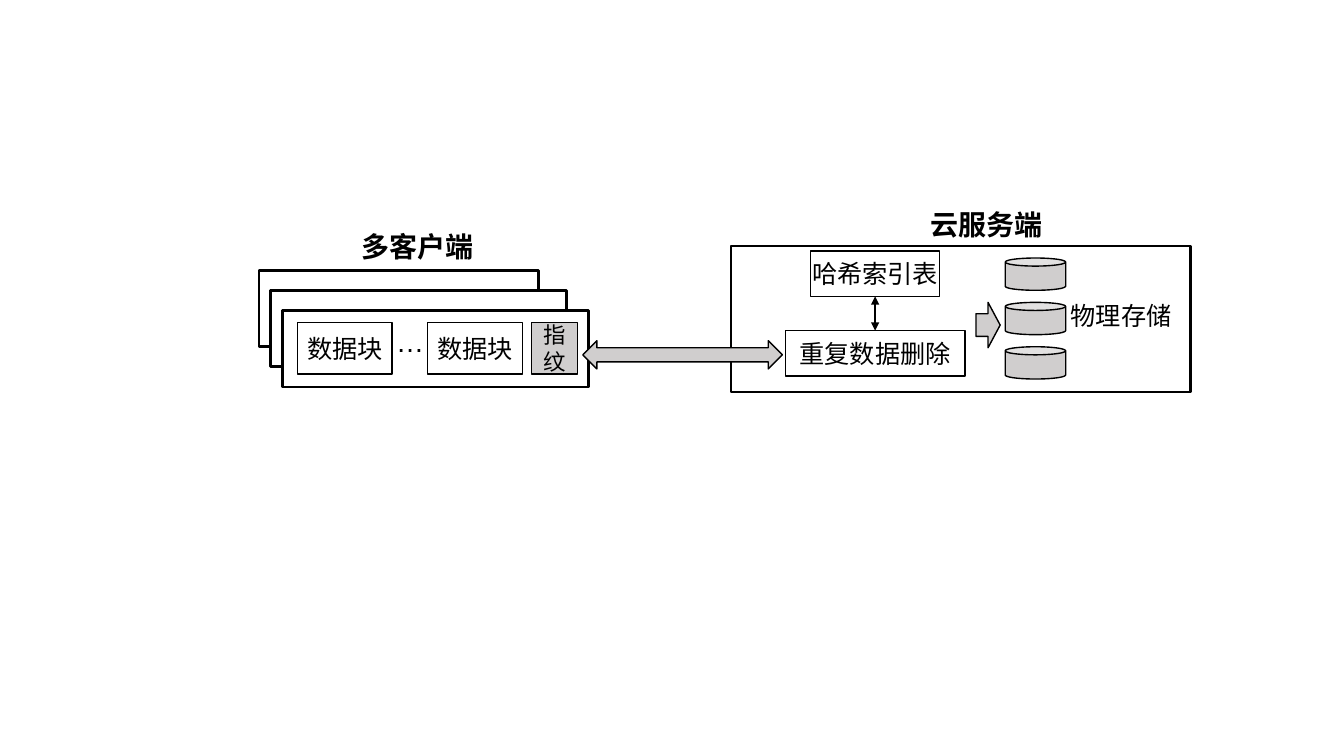
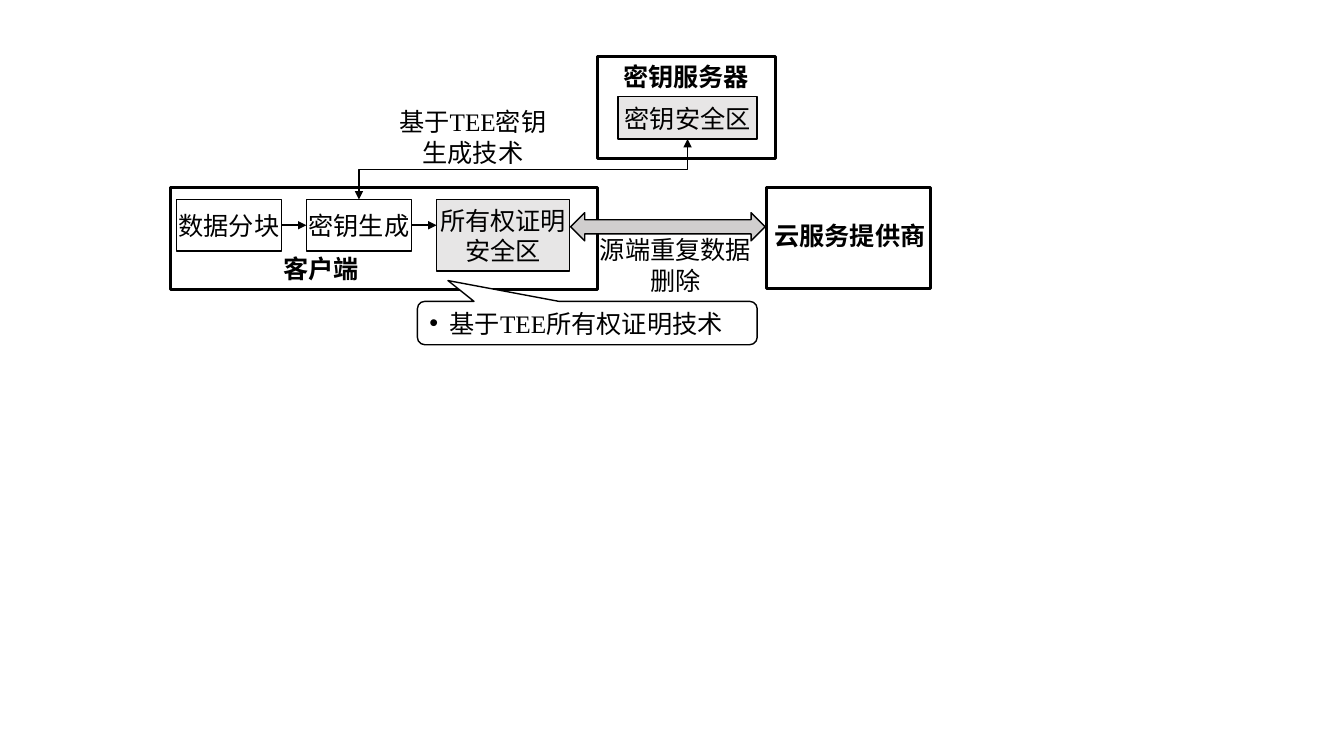
from lxml import etree
from pptx import Presentation
from pptx import util as u
from pptx.dml import color
from pptx.enum import shapes, text
from pptx.oxml import ns

COLORS = {"ink": "000000", "paper": "FFFFFF", "gray": "D0CECE", "pale": "E7E6E6"}
CHINESE_FONT = "Noto Sans CJK SC"
LATIN_FONT = "Times New Roman"
FRAME_LINE = 2
THIN_LINE = 1
ARROW_LINE = 1.5
SHAPE = shapes.MSO_SHAPE
CENTER = text.PP_ALIGN.CENTER
LEFT = text.PP_ALIGN.LEFT


def rgb(name):
    return color.RGBColor.from_string(COLORS[name])


def add_element(parent, tag, **attributes):
    return etree.SubElement(parent, ns.qn(tag), attributes)


def apply_format(target, values):
    for name, value in values.items():
        setattr(target, name, value)


def write(shape, words, align=CENTER, bullet=False, inset=0.1, wrap=True,
          anchor=text.MSO_ANCHOR.MIDDLE, size=18, bold=False, font=CHINESE_FONT):
    frame = shape.text_frame
    apply_format(frame, {
        "word_wrap": wrap, "vertical_anchor": anchor,
        "margin_left": u.Inches(inset), "margin_right": u.Inches(inset),
    })
    paragraph = frame.paragraphs[0]
    paragraph.alignment = align
    if bullet:
        properties = paragraph._p.get_or_add_pPr()
        properties.set("marL", str(u.Inches(0.2)))
        properties.set("indent", str(-u.Inches(0.2)))
        add_element(properties, "a:buFont", typeface="Arial")
        add_element(properties, "a:buChar", char="•")
    run = paragraph.add_run()
    run.text = words
    apply_format(run.font, {"name": font, "size": u.Pt(size), "bold": bold})
    run.font.color.rgb = rgb("ink")
    add_element(run._r.get_or_add_rPr(), "a:ea", typeface=CHINESE_FONT)


def add_shape(slide, kind, left, top, width, height, fill=None, line=THIN_LINE):
    shape = slide.shapes.add_shape(kind, *map(u.Inches, (left, top, width, height)))
    shape.shadow.inherit = False
    if fill:
        shape.fill.solid()
        shape.fill.fore_color.rgb = rgb(fill)
    else:
        shape.fill.background()
    shape.line.color.rgb = rgb("ink")
    shape.line.width = u.Pt(line)
    return shape


def add_frame(slide, left, top, width, height, fill=None):
    return add_shape(slide, SHAPE.RECTANGLE, left, top, width, height, fill, FRAME_LINE)


def add_box(slide, words, left, top, width, height, fill=None, size=18, inset=0):
    box = add_shape(slide, SHAPE.RECTANGLE, left, top, width, height, fill)
    write(box, words, size=size, inset=inset)
    return box


def add_label(slide, words, left, top, width, height=0.4, **style):
    label = slide.shapes.add_textbox(*map(u.Inches, (left, top, width, height)))
    write(label, words, anchor=text.MSO_ANCHOR.TOP, **style)
    return label


def add_arrow(slide, begin, end, begin_box=None, end_box=None, width=ARROW_LINE,
              kind=shapes.MSO_CONNECTOR.STRAIGHT, both=False):
    connector = slide.shapes.add_connector(kind, *map(u.Inches, (*begin, *end)))
    if begin_box:
        connector.begin_connect(*begin_box)
    if end_box:
        connector.end_connect(*end_box)
    connector.line.color.rgb = rgb("ink")
    connector.line.width = u.Pt(width)
    properties = connector.element.spPr
    outline = properties.find(ns.qn("a:ln"))
    if both:
        add_element(outline, "a:headEnd", type="triangle")
    add_element(outline, "a:tailEnd", type="triangle")
    add_element(properties, "a:effectLst")
    return connector


def add_vertical_elbow(slide, begin, end, begin_box, end_box):
    connector = add_arrow(slide, begin, end, begin_box, end_box, THIN_LINE,
                          shapes.MSO_CONNECTOR.ELBOW, both=True)
    run, rise = end[0] - begin[0], begin[1] - end[1]
    apply_format(connector, {
        "left": u.Inches((begin[0] + end[0] - rise) / 2),
        "top": u.Inches((begin[1] + end[1] - run) / 2),
        "width": u.Inches(rise), "height": u.Inches(run),
    })
    transform = connector.element.spPr.find(ns.qn("a:xfrm"))
    for name, value in {"rot": "5400000", "flipH": "1", "flipV": "1"}.items():
        transform.set(name, value)


def draw_clients(slide, left, top):
    add_label(slide, "多客户端", left + 0.92, top - 0.45, 1.39, 0.44,
              size=20, bold=True, align=LEFT)
    for x, y, width in ((0, 0, 2.77), (0.11, 0.2, 2.94), (0.23, 0.4, 3.04)):
        add_frame(slide, left + x, top + y, width, 0.76, "paper")
    for x in (0.38, 1.67):
        add_box(slide, "数据块", left + x, top + 0.52, 0.94, 0.51)
    add_label(slide, "…", left + 1.26, top + 0.49, 0.48, 0.44,
              size=20, font="Arial", align=LEFT, wrap=False)
    add_box(slide, "指纹", left + 2.7, top + 0.52, 0.46, 0.51, "gray", 16, 0.1)


def draw_cloud(slide, left, top):
    add_frame(slide, left, top, 4.56, 1.45)
    add_label(slide, "云服务端", left + 1.88, top - 0.43, 1.35, 0.44,
              size=20, bold=True, align=LEFT)
    index = add_box(slide, "哈希索引表", left + 0.79, top + 0.05, 1.28, 0.45)
    removal = add_box(slide, "重复数据删除", left + 0.54, top + 0.84, 1.78, 0.45)
    add_arrow(slide, (left + 1.43, top + 0.5), (left + 1.43, top + 0.84),
              (index, 2), (removal, 0), both=True)
    add_shape(slide, SHAPE.RIGHT_ARROW, left + 2.43, top + 0.56, 0.24, 0.45, "gray")
    for row in range(3):
        add_shape(slide, SHAPE.CAN, left + 2.72, top + 0.12 + row * 0.44,
                  0.6, 0.32, "gray")
    add_label(slide, "物理存储", left + 3.18, top + 0.49, 1.38)


def draw_key_server(slide, left, top):
    add_frame(slide, left, top, 1.76, 1.01)
    add_label(slide, "密钥服务器", left + 0.14, top, 1.47, bold=True, wrap=False)
    return add_box(slide, "密钥安全区", left + 0.2, top + 0.4, 1.38, 0.42, "pale")


def draw_client(slide, left, top):
    add_frame(slide, left, top, 4.24, 1.01, "paper")
    chunking, key = [add_box(slide, words, left + x, top + 0.12, 1.04, 0.51)
                     for words, x in (("数据分块", 0.06), ("密钥生成", 1.35))]
    add_box(slide, "所有权证明安全区", left + 2.64, top + 0.12, 1.32, 0.71, "pale")
    middle = top + 0.375
    add_arrow(slide, (left + 1.1, middle), (left + 1.35, middle), (chunking, 3), (key, 1))
    add_arrow(slide, (left + 2.39, middle), (left + 2.64, middle), (key, 3))
    add_label(slide, "客户端", left + 1.02, top + 0.6, 1.08, bold=True, align=LEFT)
    return key


def draw_provider(slide, left, top):
    add_frame(slide, left, top, 1.63, 1)
    add_label(slide, "云服务提供商", left - 0.02, top + 0.28, 1.91, bold=True, align=LEFT)


def draw_callout(slide, left, top):
    callout = add_shape(slide, SHAPE.ROUNDED_RECTANGULAR_CALLOUT,
                        left, top, 3.37, 0.43, "paper")
    for position, value in enumerate((-0.41, -0.98, 0.17)):
        callout.adjustments[position] = value
    write(callout, "基于TEE所有权证明技术", align=LEFT, bullet=True, font=LATIN_FONT)


def build_deduplication(slide):
    draw_clients(slide, 2.57, 2.68)
    draw_cloud(slide, 7.25, 2.44)
    add_shape(slide, SHAPE.LEFT_RIGHT_ARROW, 5.78, 3.38, 1.98, 0.28, "gray")


def build_trusted_deduplication(slide):
    draw_provider(slide, 7.6, 1.86)
    secure_zone = draw_key_server(slide, 5.93, 0.56)
    key = draw_client(slide, 1.69, 1.86)
    add_vertical_elbow(slide, (3.56, 1.98), (6.82, 1.38), (key, 0), (secure_zone, 2))
    add_shape(slide, SHAPE.LEFT_RIGHT_ARROW, 5.66, 2.11, 1.93, 0.28, "gray")
    add_label(slide, "基于TEE密钥生成技术", 3.81, 1.01, 1.76, 0.71, font=LATIN_FONT)
    draw_callout(slide, 4.14, 2.99)
    add_label(slide, "源端重复数据删除", 5.82, 2.28, 1.76, 0.71)


def main():
    presentation = Presentation()
    presentation.slide_width = u.Inches(13.33)
    presentation.slide_height = u.Inches(7.5)
    blank = presentation.slide_layouts[6]
    for build in (build_deduplication, build_trusted_deduplication):
        build(presentation.slides.add_slide(blank))
    presentation.save("out.pptx")


if __name__ == "__main__":
    main()
